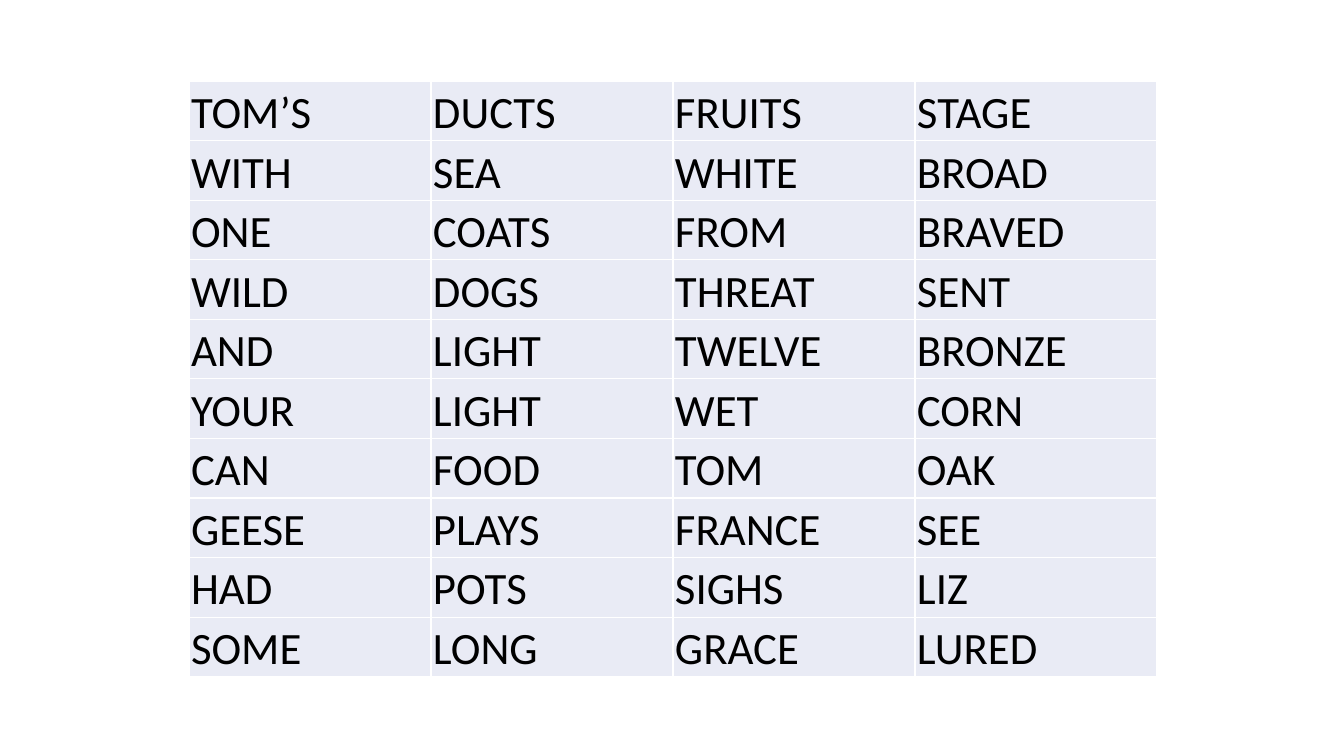
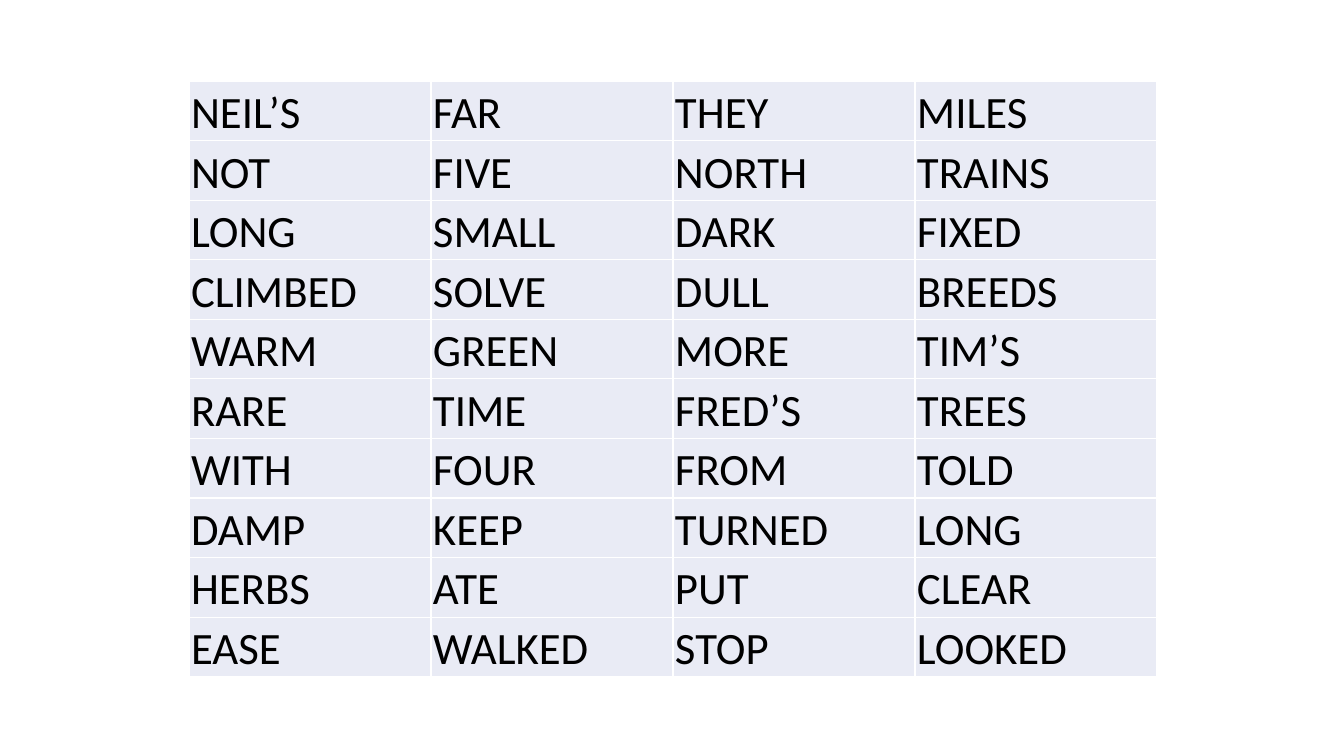
"""Build two slides, each holding a four-column table of words."""
from dataclasses import dataclass

from lxml.etree import SubElement
from pptx import Presentation
from pptx.dml.color import RGBColor
from pptx.enum.text import MSO_VERTICAL_ANCHOR as Anchor
from pptx.oxml.ns import qn
from pptx.slide import Slide
from pptx.table import _Cell as Cell
from pptx.util import Emu, Pt

SLIDE_WIDTH, SLIDE_HEIGHT = 1344, 756
EMU_PER_PIXEL = 12192000 / SLIDE_WIDTH
COLOURS = {"text": "000000", "cell": "E9EBF5", "border": "FFFFFF"}
FONT = "Calibri"
BORDER_POINTS = 1
CELL_INSET = 2
BLANK_LAYOUT = 6


@dataclass(frozen=True)
class WordTable:
    rows: tuple[str, ...]
    left: int = 189
    top: int = 81
    width: int = 968
    height: int = 596


WORD_TABLES = (
    WordTable((
        "TOM’S DUCTS FRUITS STAGE",
        "WITH SEA WHITE BROAD",
        "ONE COATS FROM BRAVED",
        "WILD DOGS THREAT SENT",
        "AND LIGHT TWELVE BRONZE",
        "YOUR LIGHT WET CORN",
        "CAN FOOD TOM OAK",
        "GEESE PLAYS FRANCE SEE",
        "HAD POTS SIGHS LIZ",
        "SOME LONG GRACE LURED",
    )),
    WordTable((
        "NEIL’S FAR THEY MILES",
        "NOT FIVE NORTH TRAINS",
        "LONG SMALL DARK FIXED",
        "CLIMBED SOLVE DULL BREEDS",
        "WARM GREEN MORE TIM’S",
        "RARE TIME FRED’S TREES",
        "WITH FOUR FROM TOLD",
        "DAMP KEEP TURNED LONG",
        "HERBS ATE PUT CLEAR",
        "EASE WALKED STOP LOOKED",
    )),
)


def pixels(length: int) -> Emu:
    return Emu(round(length * EMU_PER_PIXEL))


def write_text(cell: Cell, text: str, *, size: int = 32, font: str = FONT,
               colour: str = "text", anchor: Anchor = Anchor.BOTTOM) -> None:
    cell.vertical_anchor = anchor
    cell.margin_left = cell.margin_right = cell.margin_top = pixels(CELL_INSET)
    cell.margin_bottom = 0
    run = cell.text_frame.paragraphs[0].add_run()
    run.text = text
    run.font.size = Pt(size)
    run.font.name = font
    run.font.color.rgb = RGBColor.from_string(COLOURS[colour])


def draw_borders(cell: Cell) -> None:
    properties = cell._tc.get_or_add_tcPr()
    for side in ("lnL", "lnR", "lnT", "lnB"):
        line = SubElement(properties, qn(f"a:{side}"), w=str(Pt(BORDER_POINTS)))
        fill = SubElement(line, qn("a:solidFill"))
        SubElement(fill, qn("a:srgbClr"), val=COLOURS["border"])


def draw_table(slide: Slide, words: WordTable) -> None:
    grid = [row.split() for row in words.rows]
    frame = slide.shapes.add_table(
        len(grid), len(grid[0]), pixels(words.left), pixels(words.top),
        pixels(words.width), pixels(words.height))
    table = frame.table
    table.first_row = table.horz_banding = False
    for cell, word in zip(table.iter_cells(), sum(grid, [])):
        draw_borders(cell)
        cell.fill.solid()
        cell.fill.fore_color.rgb = RGBColor.from_string(COLOURS["cell"])
        write_text(cell, word)


def main() -> None:
    presentation = Presentation()
    presentation.slide_width = pixels(SLIDE_WIDTH)
    presentation.slide_height = pixels(SLIDE_HEIGHT)
    for words in WORD_TABLES:
        layout = presentation.slide_layouts[BLANK_LAYOUT]
        draw_table(presentation.slides.add_slide(layout), words)
    presentation.save("out.pptx")


main()
